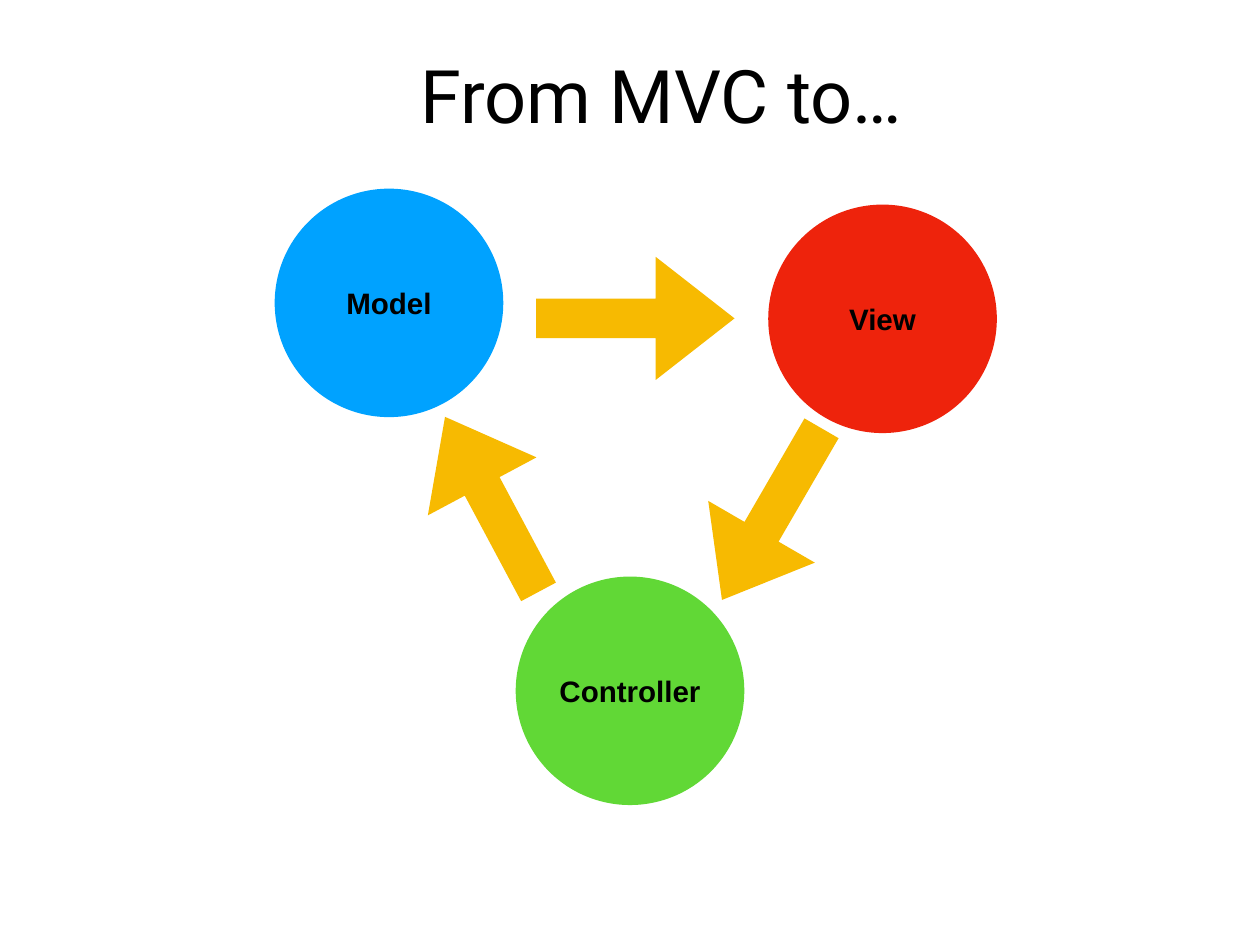
from dataclasses import dataclass

from pptx import Presentation
from pptx.dml.color import RGBColor as Rgb
from pptx.enum.shapes import MSO_SHAPE as Kind
from pptx.enum.text import MSO_ANCHOR as Anchor, PP_ALIGN as Align
from pptx.shapes.autoshape import Shape
from pptx.slide import Slide
from pptx.util import Inches, Pt

COLORS = {
    "blue": "00A2FF",
    "red": "EE230C",
    "green": "61D836",
    "gold": "F7BA01",
    "black": "000000",
}
SIDE = 2.58
ARROW_W, ARROW_H = 2.24, 1.39


@dataclass
class Node:
    name: str
    left: float
    top: float
    color: str


@dataclass
class Arrow:
    left: float
    top: float
    turn: float


NODES = [
    Node("Model", 3.1, 2.13, "blue"),
    Node("View", 8.67, 2.31, "red"),
    Node("Controller", 5.82, 6.51, "green"),
]
ARROWS = [
    Arrow(6.05, 2.9, 0),
    Arrow(7.59, 5.11, 120.1),
    Arrow(4.43, 5, 241.9),
]


def write(shape: Shape, text: str, font: str, size: int, bold: bool) -> None:
    frame = shape.text_frame
    frame.text = text
    frame.vertical_anchor = Anchor.MIDDLE
    frame.margin_left = frame.margin_right = Inches(0.06)
    frame.margin_top = frame.margin_bottom = Inches(0.06)
    line = frame.paragraphs[0]
    line.alignment = Align.CENTER
    style = line.runs[0].font
    style.name, style.size, style.bold = font, Pt(size), bold
    style.color.rgb = Rgb.from_string(COLORS["black"])


def add_flat(slide: Slide, kind: Kind, left: float, top: float,
             width: float, height: float, color: str) -> Shape:
    """Add a filled shape with no outline and no shadow."""
    shape = slide.shapes.add_shape(
        kind, Inches(left), Inches(top), Inches(width), Inches(height))
    shape.shadow.inherit = False
    shape.fill.solid()
    shape.fill.fore_color.rgb = Rgb.from_string(COLORS[color])
    shape.line.fill.background()
    return shape


def add_node(slide: Slide, node: Node) -> None:
    disc = add_flat(slide, Kind.OVAL, node.left, node.top, SIDE, SIDE, node.color)
    write(disc, node.name, "Arial", 24, True)
    disc.text_frame.word_wrap = False


def add_arrow(slide: Slide, arrow: Arrow) -> None:
    shape = add_flat(slide, Kind.RIGHT_ARROW, arrow.left, arrow.top,
                     ARROW_W, ARROW_H, "gold")
    shape.adjustments[0] = 0.32
    shape.adjustments[1] = 0.64
    shape.rotation = arrow.turn


def add_title(slide: Slide, text: str) -> None:
    title = slide.shapes.title
    title.left, title.top = Inches(3.1), Inches(0.51)
    title.width, title.height = Inches(8.73), Inches(1.11)
    write(title, text, "Roboto", 60, False)
    title.text_frame.word_wrap = True


def main() -> None:
    deck = Presentation()
    deck.slide_width, deck.slide_height = Inches(14.22), Inches(10.67)
    slide = deck.slides.add_slide(deck.slide_layouts[5])
    add_title(slide, "From MVC to…")
    for node in NODES:
        add_node(slide, node)
    for arrow in ARROWS:
        add_arrow(slide, arrow)
    deck.save("out.pptx")


if __name__ == "__main__":
    main()
